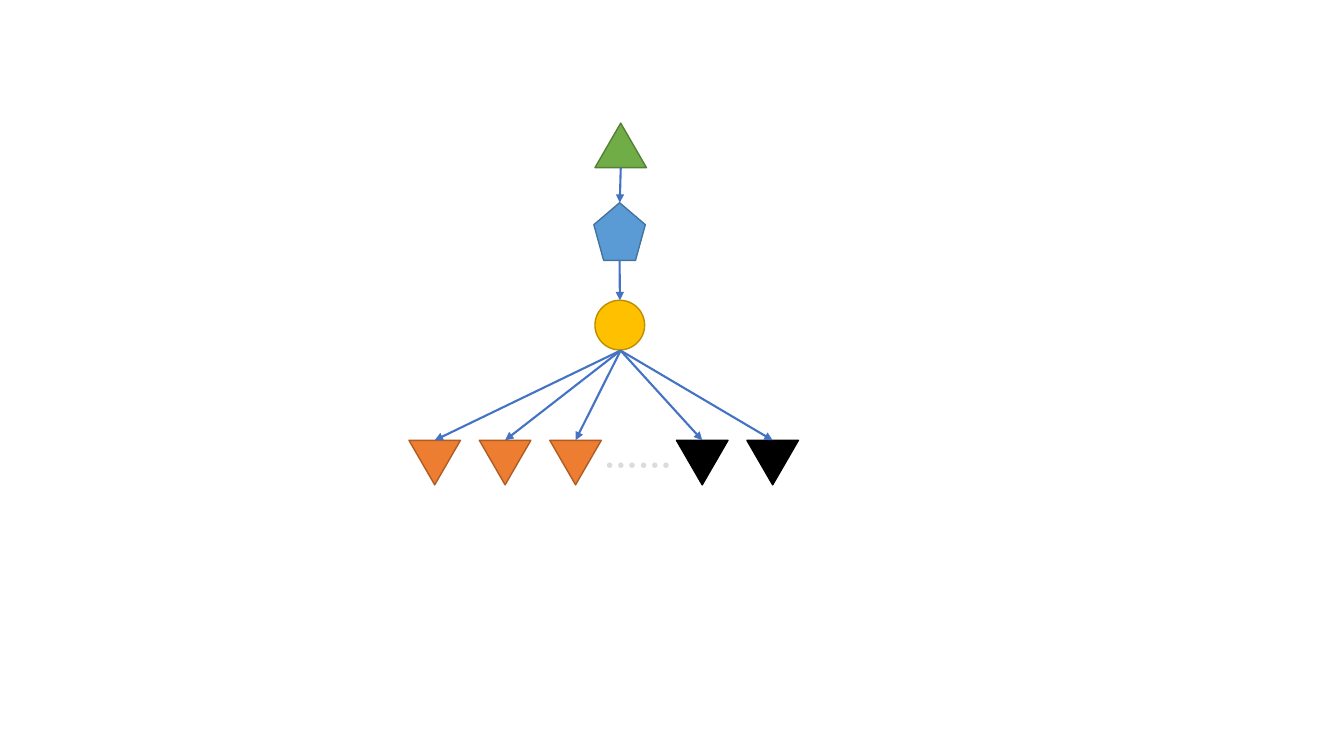
from lxml import etree
from pptx import Presentation
from pptx.dml.color import RGBColor
from pptx.enum.shapes import MSO_CONNECTOR, MSO_SHAPE
from pptx.enum.text import MSO_AUTO_SIZE, PP_ALIGN
from pptx.oxml.ns import qn
from pptx.util import Pt

TRIANGLE = MSO_SHAPE.ISOSCELES_TRIANGLE
PENTAGON = MSO_SHAPE.REGULAR_PENTAGON
OVAL = MSO_SHAPE.OVAL
STRAIGHT = MSO_CONNECTOR.STRAIGHT

COLORS = {
    "green": "70AD47", "green edge": "538035",
    "blue": "5B9BD5", "blue edge": "43739E",
    "gold": "FFC000", "gold edge": "BD8E00",
    "orange": "ED7D31", "orange edge": "AF5C24",
    "black": "000000", "black edge": "000000",
    "arrow": "4472C4", "dots": "DBDBDB",
}

prs = Presentation()
prs.slide_width, prs.slide_height = Pt(960), Pt(540)
slide = prs.slides.add_slide(prs.slide_layouts[6])


def add_node(kind, left, top, width, height, color, rotation=0):
    node = slide.shapes.add_shape(kind, Pt(left), Pt(top), Pt(width), Pt(height))
    node.rotation = rotation
    node.shadow.inherit = False
    node.fill.solid()
    node.fill.fore_color.rgb = RGBColor.from_string(COLORS[color])
    node.line.color.rgb = RGBColor.from_string(COLORS[color + " edge"])
    node.line.width = Pt(1)


def add_arrow(x1, y1, x2, y2):
    arrow = slide.shapes.add_connector(STRAIGHT, Pt(x1), Pt(y1), Pt(x2), Pt(y2))
    arrow.line.color.rgb = RGBColor.from_string(COLORS["arrow"])
    arrow.line.width = Pt(1.5)
    properties = arrow.element.spPr
    etree.SubElement(properties.find(qn("a:ln")), qn("a:tailEnd"), type="triangle")
    etree.SubElement(properties, qn("a:effectLst"))


triangle_width, triangle_height = 36.8, 31.8
leaf_top, leaf_step = 314.5, 50.3
hub_x, hub_bottom = 443.3, 250.4

add_node(TRIANGLE, 425, 88, triangle_width, triangle_height, "green")
add_node(PENTAGON, 424.2, 144.8, 36.8, 41.2, "blue")
add_node(OVAL, 425, 214.5, 35.5, 35.5, "gold")
add_arrow(443.4, 119.8, 442.7, 144.8)
add_arrow(442.6, 186, 442.8, 214.5)

for color, first_left, count in [("orange", 292.1, 3), ("black", 483.2, 2)]:
    for index in range(count):
        left = first_left + index * leaf_step
        add_node(TRIANGLE, left, leaf_top, triangle_width, triangle_height, color, 180)
        add_arrow(hub_x, hub_bottom, left + triangle_width / 2, leaf_top)

ellipsis = slide.shapes.add_textbox(Pt(404.6), Pt(314.5), Pt(103), Pt(36))
ellipsis.text_frame.word_wrap = True
ellipsis.text_frame.auto_size = MSO_AUTO_SIZE.SHAPE_TO_FIT_TEXT
paragraph = ellipsis.text_frame.paragraphs[0]
paragraph.alignment = PP_ALIGN.CENTER
dots = paragraph.add_run()
dots.text = "……"
for attribute, value in {"name": "Noto Sans CJK SC", "size": Pt(24), "bold": True}.items():
    setattr(dots.font, attribute, value)
dots.font.color.rgb = RGBColor.from_string(COLORS["dots"])
etree.SubElement(dots.font._element, qn("a:ea"), typeface="Noto Sans CJK SC")

prs.save("out.pptx")
